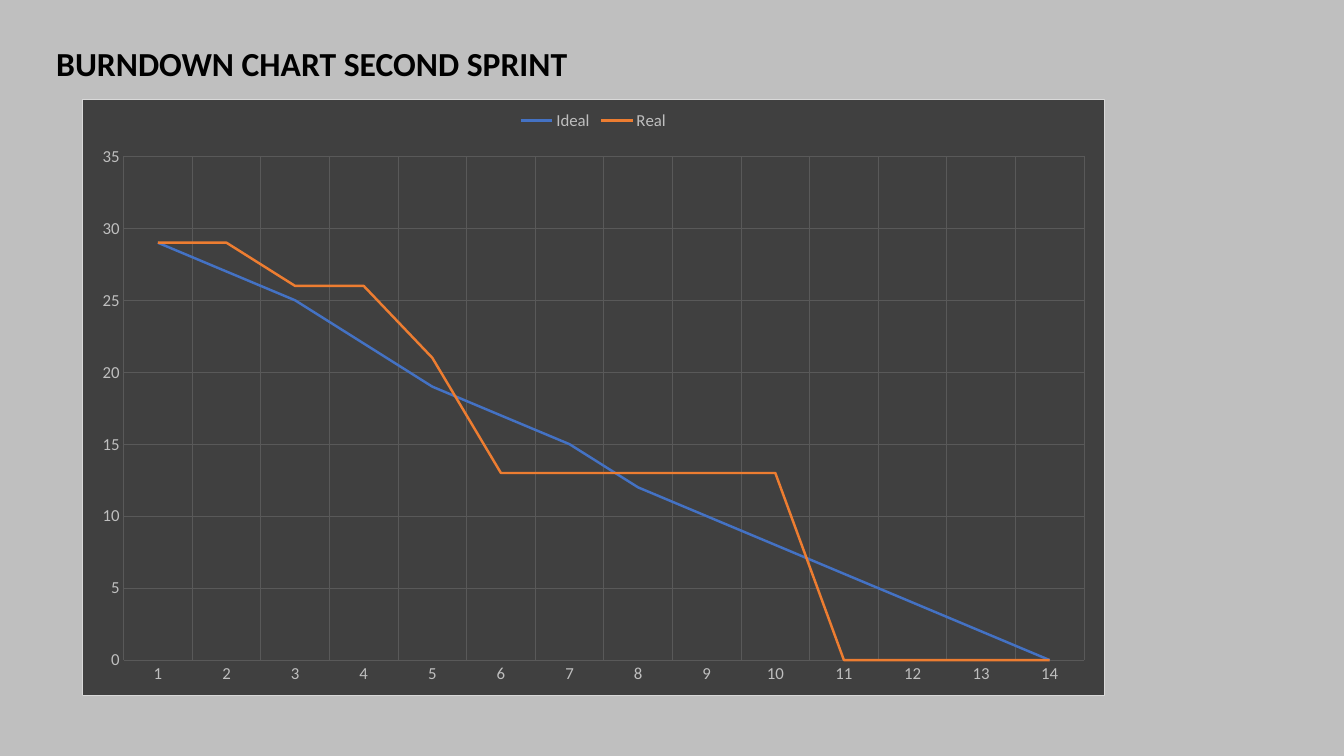
from dataclasses import dataclass

from lxml.etree import SubElement
from pptx import Presentation
from pptx.chart.data import CategoryChartData
from pptx.dml.color import RGBColor
from pptx.enum.chart import XL_CHART_TYPE, XL_LEGEND_POSITION, XL_MARKER_STYLE, XL_TICK_MARK
from pptx.enum.text import MSO_AUTO_SIZE
from pptx.oxml import parse_xml
from pptx.oxml.ns import nsdecls, qn
from pptx.util import Inches, Pt


@dataclass(frozen=True)
class Theme:
    """Colours, font and type sizes of the slide."""
    font: str = "Calibri"
    background: str = "BFBFBF"
    title: str = "000000"
    panel: str = "404040"
    border: str = "D9D9D9"
    grid: str = "595959"
    label: str = "BFBFBF"
    series: tuple = ("4472C4", "ED7D31")
    title_size: int = 24
    label_size: int = 12
    thin: float = 0.75
    thick: float = 1.75


THEME = Theme()
BURNDOWN = {
    "Ideal": (29, 27, 25, 22, 19, 17, 15, 12, 10, 8, 6, 4, 2, 0),
    "Real": (29, 29, 26, 26, 21, 13, 13, 13, 13, 13, 0, 0, 0, 0),
}


def set_font(font, size, color, bold=False):
    """Apply the theme font with a size and colour."""
    font.name = THEME.font
    font.size = Pt(size)
    font.bold = bold
    font.color.rgb = RGBColor.from_string(color)


def set_line(line, color, width):
    """Give a line a solid colour and a width in points."""
    line.color.rgb = RGBColor.from_string(color)
    line.width = Pt(width)


def add_title(slide, text, left, top, width, height):
    """Place the slide title in its box."""
    box = slide.shapes.add_textbox(Inches(left), Inches(top), Inches(width), Inches(height))
    tf = box.text_frame
    tf.word_wrap = True
    tf.auto_size = MSO_AUTO_SIZE.SHAPE_TO_FIT_TEXT
    p = tf.paragraphs[0]
    p.text = text
    set_font(p.font, THEME.title_size, THEME.title, bold=True)


def fill_panel(chart):
    """Fill and outline the whole chart area."""
    panel = parse_xml(f"<c:spPr {nsdecls('c', 'a')}/>")
    fill = SubElement(panel, qn("a:solidFill"))
    SubElement(fill, qn("a:srgbClr"), val=THEME.panel)
    ln = SubElement(panel, qn("a:ln"), w=str(Pt(THEME.thin)))
    fill = SubElement(ln, qn("a:solidFill"))
    SubElement(fill, qn("a:srgbClr"), val=THEME.border)
    chart.element.find(qn("c:chart")).addnext(panel)


def style_axis(axis):
    """Show only labels and gridlines on an axis."""
    axis.major_tick_mark = XL_TICK_MARK.NONE
    axis.minor_tick_mark = XL_TICK_MARK.NONE
    axis.format.line.fill.background()
    axis.has_major_gridlines = True
    set_line(axis.major_gridlines.format.line, THEME.grid, THEME.thin)
    set_font(axis.tick_labels.font, THEME.label_size, THEME.label)


def add_burndown(slide, burndown, left, top, width, height):
    """Draw ideal and real remaining work as a line chart."""
    days = len(next(iter(burndown.values())))
    data = CategoryChartData()
    data.categories = [str(day) for day in range(1, days + 1)]
    for name, values in burndown.items():
        data.add_series(name, values)
    chart = slide.shapes.add_chart(
        XL_CHART_TYPE.LINE, Inches(left), Inches(top), Inches(width), Inches(height), data
    ).chart
    set_font(chart.font, THEME.label_size, THEME.label)
    chart.has_title = False
    fill_panel(chart)

    chart.has_legend = True
    chart.legend.position = XL_LEGEND_POSITION.TOP
    chart.legend.include_in_layout = False
    set_font(chart.legend.font, THEME.label_size, THEME.label)

    for axis in (chart.category_axis, chart.value_axis):
        style_axis(axis)
    chart.value_axis.minimum_scale = 0
    chart.value_axis.maximum_scale = 35
    chart.value_axis.major_unit = 5

    plot = chart.plots[0]
    plot.vary_by_categories = False
    for series, color in zip(plot.series, THEME.series):
        series.smooth = False
        series.marker.style = XL_MARKER_STYLE.NONE
        set_line(series.format.line, color, THEME.thick)


def main():
    """Build and save the burndown slide."""
    prs = Presentation()
    prs.slide_width, prs.slide_height = Inches(13.33), Inches(7.5)
    s = prs.slides.add_slide(prs.slide_layouts[6])
    s.background.fill.solid()
    s.background.fill.fore_color.rgb = RGBColor.from_string(THEME.background)
    add_title(s, "BURNDOWN CHART SECOND SPRINT", 0.46, 0.38, 5.47, 0.91)
    add_burndown(s, BURNDOWN, 0.81, 0.98, 10.15, 5.93)
    prs.save("out.pptx")


if __name__ == "__main__":
    main()
